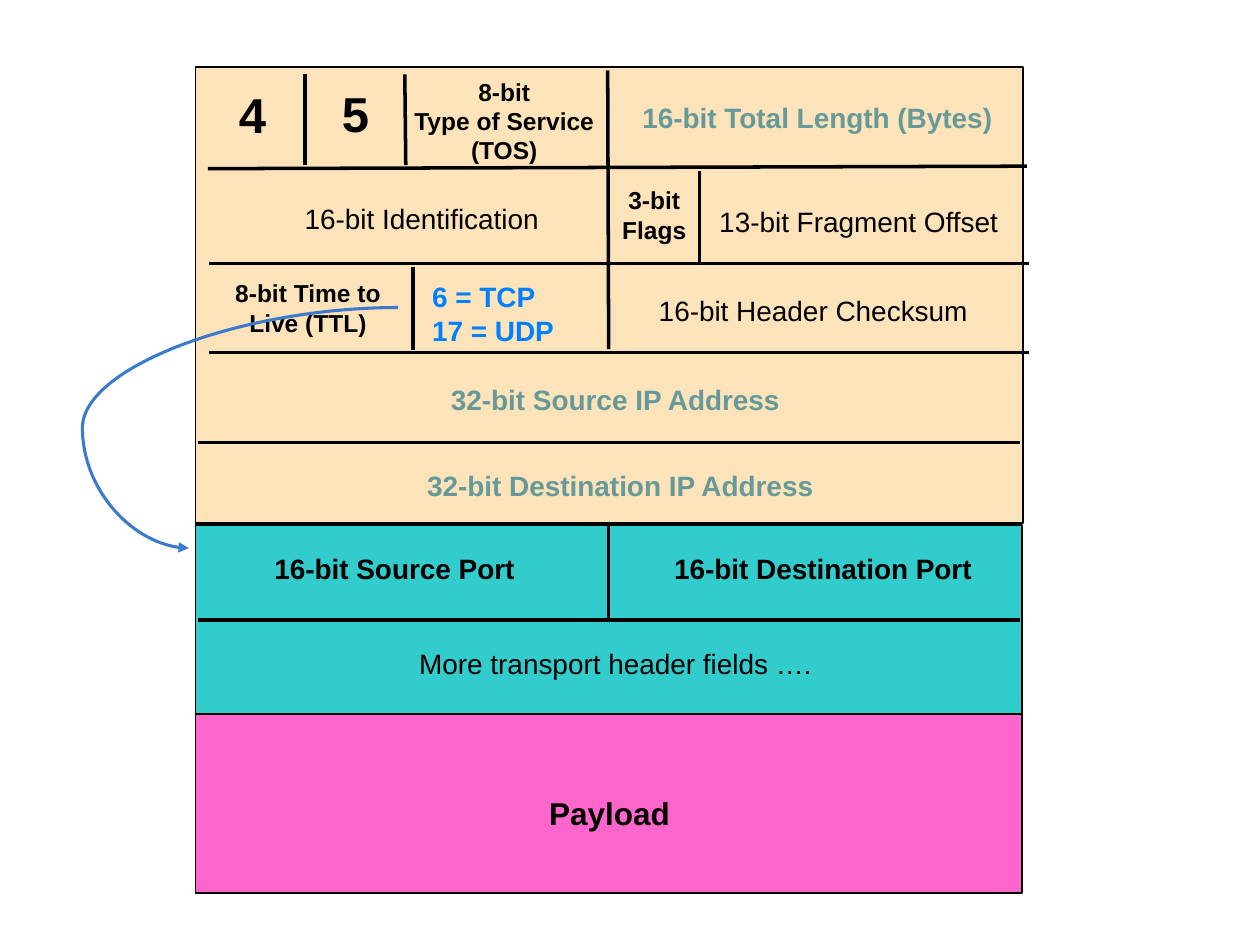
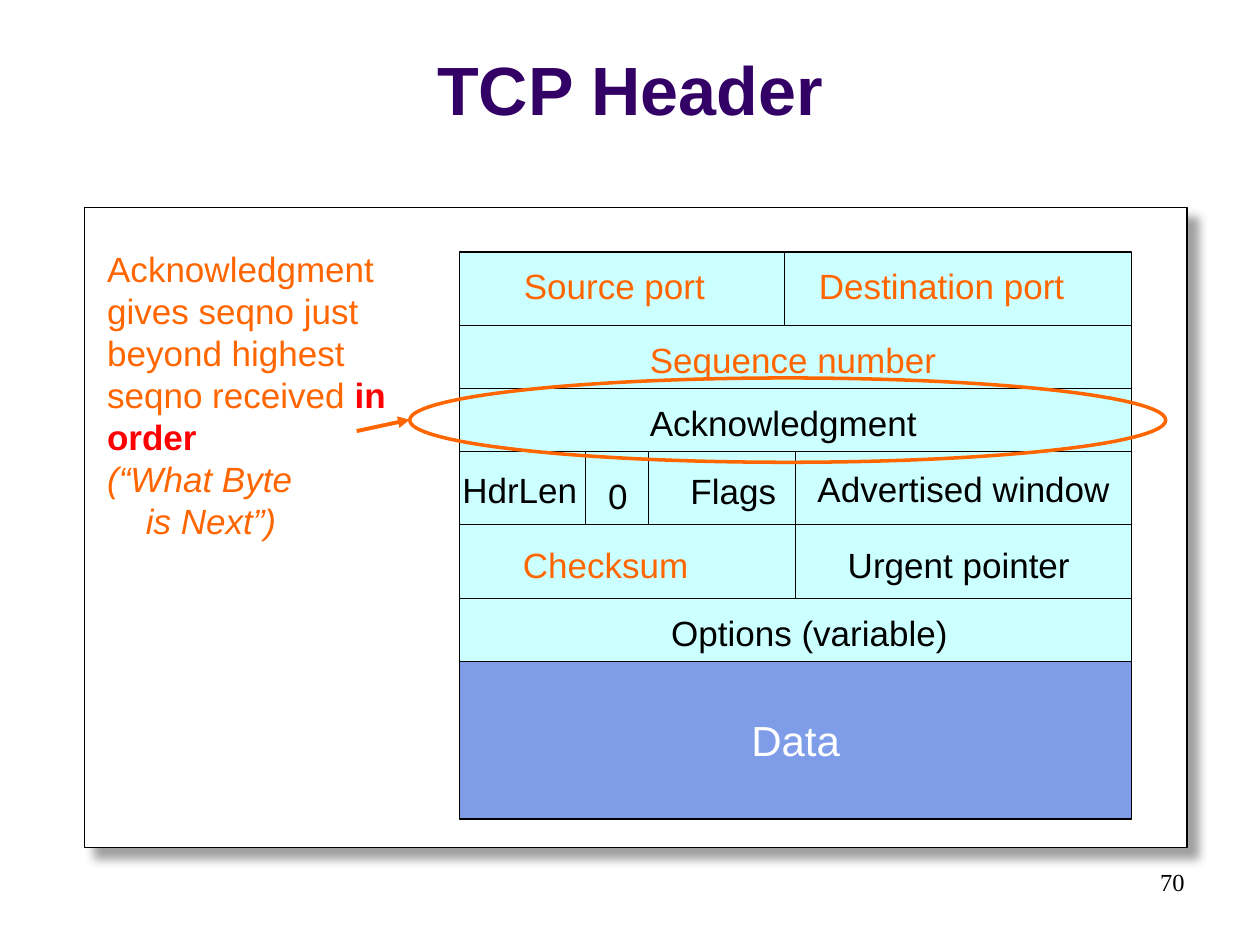
from lxml.etree import SubElement
from pptx import Presentation
from pptx.dml.color import RGBColor
from pptx.enum.shapes import MSO_CONNECTOR, MSO_SHAPE
from pptx.enum.text import MSO_ANCHOR, MSO_AUTO_SIZE, PP_ALIGN
from pptx.oxml.ns import qn
from pptx.util import Cm, Pt

COLORS = {
    "black": "000000", "white": "FFFFFF", "shadow": "808080",
    "ip": "FDE3BA", "transport": "33CCCC", "payload": "FF66CC",
    "address": "669999", "protocol": "0080FF", "pointer": "3B7ACC",
    "title": "330066", "tcp": "CCFFFF", "data": "7E9CE8",
    "accent": "FF6600", "alert": "FF0000",
}
RGB = {name: RGBColor.from_string(code) for name, code in COLORS.items()}
LEFT, CENTER, RIGHT = PP_ALIGN.LEFT, PP_ALIGN.CENTER, PP_ALIGN.RIGHT


def write(frame, text, size, color="black", bold=False, align=LEFT, font="Arial"):
    """Fill a text frame without wrapping; \\n starts a paragraph, \\v a line."""
    frame.text = text
    frame.word_wrap = False
    for paragraph in frame.paragraphs:
        paragraph.alignment = align
        for run in paragraph.runs:
            run.font.name, run.font.size, run.font.bold = font, Pt(size), bold
            run.font.color.rgb = RGB[color]


def add_line(slide, ends, width, color="black", kind=MSO_CONNECTOR.STRAIGHT, arrow=False):
    line = slide.shapes.add_connector(kind, *map(Cm, ends))
    line.line.color.rgb = RGB[color]
    line.line.width = Pt(width)
    if arrow:
        SubElement(line.line._get_or_add_ln(), qn("a:tailEnd"), type="triangle")
    SubElement(line._element.spPr, qn("a:effectLst"))
    return line


prs = Presentation()
prs.slide_width, prs.slide_height = Cm(25.4), Cm(19.05)
packet = prs.slides.add_slide(prs.slide_layouts[6])
tcp = prs.slides.add_slide(prs.slide_layouts[5])

title = tcp.shapes.title
title.left, title.top, title.width, title.height = map(Cm, (0, 0.33, 25.4, 2.41))
write(title.text_frame, "TCP Header", 39, "title", True, CENTER)
title.text_frame.vertical_anchor = MSO_ANCHOR.BOTTOM
title.text_frame.auto_size = MSO_AUTO_SIZE.NONE

# Blocks of both slides: slide, place, fill, outline width
blocks = [
    (packet, (3.94, 10.59, 16.66, 3.81), "transport", 1),
    (packet, (3.94, 1.35, 16.69, 9.19), "ip", 1),
    (packet, (3.94, 14.4, 16.66, 3.61), "payload", 1),
    (tcp, (1.7, 4.19, 22.23, 12.9), "white", 0.75),
]
TABLE_LEFT, TABLE_WIDTH = 9.27, 13.54
HALVES = [TABLE_WIDTH / 2] * 2
header_rows = [
    (1.48, [6.55, 6.99], "tcp"),
    (1.27, [TABLE_WIDTH], "tcp"),
    (1.27, [TABLE_WIDTH], "tcp"),
    (1.48, HALVES, "tcp"),
    (1.48, HALVES, "tcp"),
    (1.27, [TABLE_WIDTH], "tcp"),
    (3.18, [TABLE_WIDTH], "data"),
]
row_top = 5.08
for row_height, field_widths, fill in header_rows:
    field_left = TABLE_LEFT
    for field_width in field_widths:
        blocks.append((tcp, (field_left, row_top, field_width, row_height), fill, 0.75))
        field_left += field_width
    row_top += row_height

for slide, place, fill, outline in blocks:
    block = slide.shapes.add_shape(MSO_SHAPE.RECTANGLE, *map(Cm, place))
    block.shadow.inherit = False
    block.fill.solid()
    block.fill.fore_color.rgb = RGB[fill]
    block.line.color.rgb = RGB["black"]
    block.line.width = Pt(outline)
    if fill == "white":
        effects = block._element.spPr.find(qn("a:effectLst"))
        shadow = SubElement(effects, qn("a:outerShdw"), blurRad=str(Pt(5)),
                            dist=str(Pt(8.5)), dir="2700000", algn="tl", rotWithShape="0")
        shade = SubElement(shadow, qn("a:srgbClr"), val=COLORS["shadow"])
        SubElement(shade, qn("a:alpha"), val="75000")
    elif fill == "data":
        write(block.text_frame, "Data", 24, "white", align=CENTER)
        block.text_frame.vertical_anchor = MSO_ANCHOR.MIDDLE

# Field borders
for ends in [
    (4.19, 3.4, 20.7, 3.35),
    (4.22, 5.31, 20.75, 5.31),
    (4.22, 7.11, 20.75, 7.11),
    (3.99, 8.92, 20.57, 8.92),
    (3.99, 12.5, 20.57, 12.5),
    (12.25, 1.42, 12.27, 7.04),
    (12.27, 10.59, 12.27, 12.5),
    (6.15, 1.5, 6.15, 3.33),
    (8.16, 1.5, 8.18, 3.33),
    (14.1, 3.45, 14.1, 5.28),
    (8.33, 5.38, 8.33, 7.06),
]:
    add_line(packet, ends, 2)
for divider in (11.81, 13.08):
    add_line(tcp, (divider, 9.1, divider, 10.58), 0.75)

# Labels: slide, text, place, then the text style
labels = [
    (packet, "4", (4.57, 1.57, 1.04, 1.42), 28, "black", True, CENTER),
    (packet, "5", (6.65, 1.55, 1.04, 1.42), 28, "black", True, CENTER),
    (packet, "8-bit\nType of Service\n(TOS)", (8.08, 1.42, 4.17, 2.03), 14, "black", True, CENTER),
    (packet, "16-bit Total Length (Bytes)", (12.7, 1.91, 7.62, 0.91), 16, "address", True),
    (packet, "16-bit Identification", (5.89, 3.94, 5.23, 0.91), 16),
    (packet, "3-bit\nFlags", (12.29, 3.61, 1.8, 1.42), 14, "black", True, CENTER),
    (packet, "13-bit Fragment Offset", (14.25, 3.99, 6.15, 0.91), 16),
    (packet, "8-bit Time to\nLive (TTL)", (4.42, 5.49, 3.58, 1.42), 14, "black", True, CENTER),
    (packet, "6 = TCP\v17 = UDP", (8.46, 5.51, 2.97, 1.6), 16, "protocol", True),
    (packet, "16-bit Header Checksum", (13.03, 5.79, 6.76, 0.91), 16),
    (packet, "32-bit Source IP Address", (8.84, 7.59, 7.19, 0.91), 16, "address", True),
    (packet, "32-bit Destination IP Address", (8.36, 9.32, 8.33, 0.91), 16, "address", True),
    (packet, "16-bit Source Port", (5.28, 11, 5.36, 0.91), 16, "black", True),
    (packet, "16-bit Destination Port", (13.34, 11, 6.53, 0.91), 16, "black", True),
    (packet, "More transport header fields ….", (8.2, 12.9, 8.43, 0.91), 16),
    (packet, "Payload", (10.82, 15.88, 2.95, 1.02), 18, "black", True),
    (tcp, "Source port", (10.31, 5.21, 4.17, 1.09), 20, "accent"),
    (tcp, "Destination port", (16.26, 5.21, 5.46, 1.09), 20, "accent"),
    (tcp, "Sequence number", (12.85, 6.7, 6.35, 1.09), 20, "accent"),
    (tcp, "Acknowledgment", (12.85, 7.97, 5.89, 1.09), 20),
    (tcp, "HdrLen", (9.07, 9.32, 2.82, 1.09), 20),
    (tcp, "0", (12.01, 9.45, 0.91, 1.09), 20),
    (tcp, "Flags", (13.67, 9.35, 2.24, 1.09), 20),
    (tcp, "Advertised window", (16.23, 9.3, 6.4, 1.09), 20),
    (tcp, "Checksum", (10.29, 10.84, 3.84, 1.09), 20, "accent"),
    (tcp, "Urgent pointer", (16.84, 10.84, 4.98, 1.09), 20),
    (tcp, "Options (variable)", (13.28, 12.2, 6.4, 1.09), 20),
]
for slide, text, place, *style in labels:
    label = slide.shapes.add_textbox(*map(Cm, place))
    write(label.text_frame, text, *style)
    label.text_frame.auto_size = MSO_AUTO_SIZE.NONE

# Protocol number points at the transport header
protocol_curve = add_line(packet, (8.03, 6.2, 3.81, 11.05), 1.75, "pointer",
                          MSO_CONNECTOR.CURVE, arrow=True)
bend = protocol_curve._element.spPr.find(qn("a:prstGeom")).get_or_add_avLst()
SubElement(bend, qn("a:gd"), name="adj1", fmla="val 150900")

# Acknowledgment explained
note = tcp.shapes.add_textbox(Cm(1.91), Cm(4.86), Cm(6.2), Cm(7.09)).text_frame
write(note, "Acknowledgment gives seqno just beyond highest seqno received \n"
      "(“What Byte\vis Next”)", 20, "accent")
note.word_wrap = True
explanation, question = note.paragraphs
in_order = explanation.add_run()
in_order.text = "in order"
in_order.font.name, in_order.font.size, in_order.font.bold = "Arial", Pt(20), True
in_order.font.color.rgb = RGB["alert"]
for run in question.runs:
    run.font.italic = True
hanging = question._p.get_or_add_pPr()
hanging.set("marL", str(Cm(0.78)))
hanging.set("indent", str(-Cm(0.78)))

ring = tcp.shapes.add_shape(MSO_SHAPE.OVAL, Cm(8.26), Cm(7.62), Cm(15.24), Cm(1.7))
ring.shadow.inherit = False
ring.fill.background()
ring.line.color.rgb = RGB["accent"]
ring.line.width = Pt(2)
add_line(tcp, (7.19, 8.69, 8.26, 8.46), 2.25, "accent", arrow=True)

page_number = tcp.shapes.add_textbox(Cm(18.21), Cm(17.35), Cm(5.92), Cm(1.27)).text_frame
write(page_number, "70", 14, align=RIGHT, font="Times New Roman")
page_number.word_wrap = True

prs.save("out.pptx")
